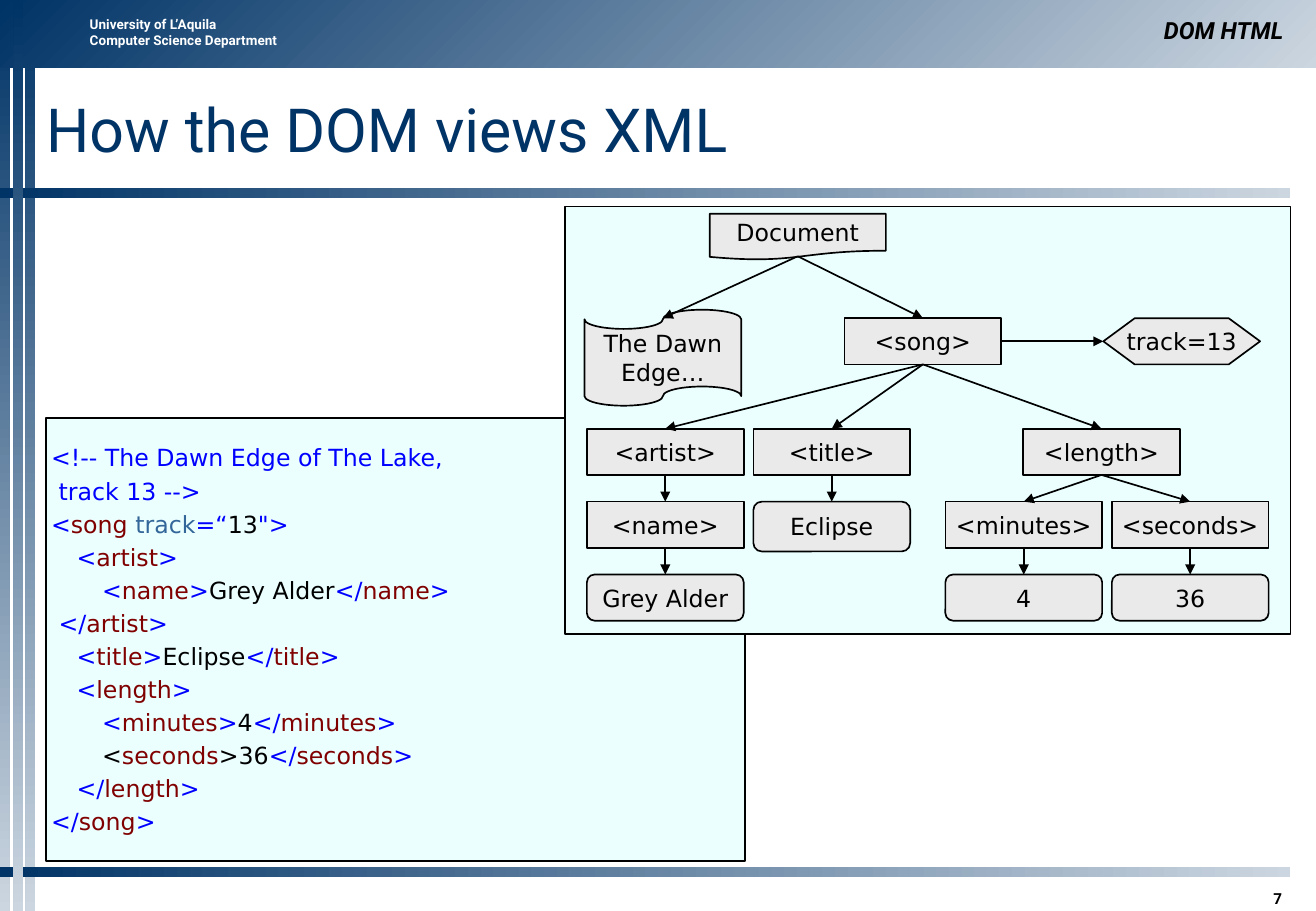
import pptx
import pptx.util
from pptx.dml.color import RGBColor
from pptx.enum.shapes import MSO_CONNECTOR, MSO_SHAPE
from pptx.enum.text import MSO_ANCHOR, PP_ALIGN
from pptx.oxml.ns import qn
from lxml import etree

Inches, Pt = pptx.util.Inches, pptx.util.Pt

COLORS = {
    "navy": "003366", "mist": "CCD6E0", "white": "FFFFFF", "black": "000000",
    "panel": "EBFFFF", "node": "EAEAEA",
    "mark": "0000FF", "tag": "800000", "attribute": "336699",
}

deck = pptx.Presentation()
deck.slide_width, deck.slide_height = Inches(10.83), Inches(7.5)
slide = deck.slides.add_slide(deck.slide_layouts[6])


def add_box(kind, left, top, width, height, fill=None):
    """Add a shape, outlined in black if filled, or a text box if kind is None."""
    place = [Inches(v) for v in (left, top, width, height)]
    if kind is None:
        return slide.shapes.add_textbox(*place)
    box = slide.shapes.add_shape(kind, *place)
    box.shadow.inherit = False
    if fill:
        box.fill.solid()
        box.fill.fore_color.rgb = RGBColor.from_string(COLORS[fill])
        box.line.color.rgb = RGBColor.from_string(COLORS["black"])
        box.line.width = Pt(1)
    else:
        box.line.fill.background()
    return box


def add_run(paragraph, text, size, font, color, bold=False, italic=False):
    run = paragraph.add_run()
    run.text = text
    run.font.size, run.font.name = Pt(size), font
    run.font.bold, run.font.italic = bold, italic
    run.font.color.rgb = RGBColor.from_string(COLORS[color])


# Gradient bands: left, top, width, height, counter-clockwise angle
bands = [
    (0, 0, 0.08, 7.5, 270),
    (0.21, 0, 0.08, 7.5, 270),
    (0, 0, 10.83, 0.56, 315),
    (0, 1.55, 10.62, 0.08, 0),
    (0, 7.14, 10.62, 0.08, 0),
    (0.11, 0, 0.08, 7.5, 270),
]
for *place, angle in bands:
    band = add_box(MSO_SHAPE.RECTANGLE, *place)
    band.fill.gradient()
    band.fill.gradient_angle = angle
    for stop, color in zip(band.fill.gradient_stops, ("navy", "mist")):
        stop.color.rgb = RGBColor.from_string(COLORS[color])

# Header, page number and title
department = add_box(None, 0.64, 0.08, 2.01, 0.37).text_frame
department.word_wrap = True
affiliation = department.paragraphs[0]
add_run(affiliation, "University of L’Aquila", 8, "Roboto", "white", bold=True)
affiliation.add_line_break()
add_run(affiliation, "Computer Science Department", 8, "Roboto", "white", bold=True)

page_number = add_box(None, 9.47, 7.22, 1.18, 0.25).text_frame
page_number.margin_bottom = 0
page_number.word_wrap = False
page_number.vertical_anchor = MSO_ANCHOR.BOTTOM
page_number.paragraphs[0].alignment = PP_ALIGN.RIGHT
add_run(page_number.paragraphs[0], "7", 9, "Roboto", "black", bold=True)

topic = add_box(None, 5.42, 0.08, 5.24, 0.33).text_frame
topic.word_wrap = True
topic.vertical_anchor = MSO_ANCHOR.BOTTOM
topic.paragraphs[0].alignment = PP_ALIGN.RIGHT
add_run(topic.paragraphs[0], "DOM HTML", 14, "Roboto", "black", bold=True, italic=True)

title = add_box(None, 0.38, 0.58, 10.27, 0.96).text_frame
title.margin_left = title.margin_right = title.margin_top = title.margin_bottom = 0
title.word_wrap = True
title.vertical_anchor = MSO_ANCHOR.MIDDLE
add_run(title.paragraphs[0], "How the DOM views XML", 36, "Roboto", "navy")

# XML listing: one list of (colour, text) runs per line
xml_lines = [
    [("mark", "<!-- The Dawn Edge of The Lake,")],
    [("mark", " track 13 -->")],
    [("mark", "<"), ("tag", "song "), ("attribute", "track"), ("mark", "=“"),
     ("black", "13"), ("mark", "\">")],
    [("mark", "\t<"), ("tag", "artist"), ("mark", ">")],
    [("mark", "\t\t<"), ("tag", "name"), ("mark", ">"), ("black", "Grey Alder"),
     ("mark", "</"), ("tag", "name"), ("mark", ">")],
    [("mark", " </"), ("tag", "artist"), ("mark", ">")],
    [("mark", "\t<"), ("tag", "title"), ("mark", ">"), ("black", "Eclipse"),
     ("mark", "</"), ("tag", "title"), ("mark", ">")],
    [("mark", "\t<"), ("tag", "length"), ("mark", ">")],
    [("mark", "\t\t<"), ("tag", "minutes"), ("mark", ">"), ("black", "4"),
     ("mark", "</"), ("tag", "minutes"), ("mark", ">")],
    [("black", "\t\t<"), ("tag", "seconds"), ("black", ">36"),
     ("mark", "</"), ("tag", "seconds"), ("mark", ">")],
    [("mark", "\t</"), ("tag", "length"), ("mark", ">")],
    [("mark", "</"), ("tag", "song"), ("mark", ">")],
]
listing = add_box(MSO_SHAPE.RECTANGLE, 0.38, 3.44, 5.75, 3.65, "panel").text_frame
listing.margin_left = listing.margin_right = Inches(0.04)
listing.margin_top = listing.margin_bottom = Inches(0.04)
listing.word_wrap = True
listing.vertical_anchor = MSO_ANCHOR.MIDDLE
for number, line in enumerate(xml_lines):
    code = listing.add_paragraph() if number else listing.paragraphs[0]
    code.alignment = PP_ALIGN.LEFT
    code.space_before = Pt(2.8 if number else 0)
    tab_list = etree.SubElement(code._p.get_or_add_pPr(), qn("a:tabLst"))
    for step in range(1, 7):
        etree.SubElement(tab_list, qn("a:tab"), pos=str(Inches(step * 0.21)), algn="l")
    for color, text in line:
        add_run(code, text, 14, "DejaVu Sans", color)

# DOM tree
add_box(MSO_SHAPE.RECTANGLE, 4.65, 1.7, 5.97, 3.52, "panel")

ELEMENT = MSO_SHAPE.FLOWCHART_PROCESS
VALUE = MSO_SHAPE.FLOWCHART_ALTERNATE_PROCESS
WIDTH, HEIGHT = 1.29, 0.38
ROWS = [2.62, 3.53, 4.13, 4.73]
COMMENT = "The Dawn Edge…"
# label: kind, left, top, width, height
nodes = {
    "Document": (MSO_SHAPE.FLOWCHART_DOCUMENT, 5.84, 1.76, 1.45, HEIGHT),
    COMMENT: (MSO_SHAPE.FLOWCHART_PUNCHED_TAPE, 4.81, 2.55, WIDTH, 0.79),
    "<song>": (ELEMENT, 6.95, ROWS[0], WIDTH, HEIGHT),
    "track=13": (MSO_SHAPE.FLOWCHART_PREPARATION, 9.08, ROWS[0], WIDTH, HEIGHT),
    "<artist>": (ELEMENT, 4.83, ROWS[1], WIDTH, HEIGHT),
    "<title>": (ELEMENT, 6.2, ROWS[1], WIDTH, HEIGHT),
    "<length>": (ELEMENT, 8.42, ROWS[1], WIDTH, HEIGHT),
    "<name>": (ELEMENT, 4.83, ROWS[2], WIDTH, HEIGHT),
    "Eclipse": (VALUE, 6.2, ROWS[2], WIDTH, 0.41),
    "<minutes>": (ELEMENT, 7.78, ROWS[2], WIDTH, HEIGHT),
    "<seconds>": (ELEMENT, 9.15, ROWS[2], WIDTH, HEIGHT),
    "Grey Alder": (VALUE, 4.83, ROWS[3], WIDTH, HEIGHT),
    "4": (VALUE, 7.78, ROWS[3], WIDTH, HEIGHT),
    "36": (VALUE, 9.15, ROWS[3], WIDTH, HEIGHT),
}
for label, place in nodes.items():
    node = add_box(*place, "node").text_frame
    node.word_wrap = label == COMMENT
    node.vertical_anchor = MSO_ANCHOR.MIDDLE
    node.paragraphs[0].alignment = PP_ALIGN.CENTER
    add_run(node.paragraphs[0], label, 14, "DejaVu Sans", "black")

children = {
    "Document": [COMMENT, "<song>"],
    "<song>": ["<artist>", "<title>", "<length>", "track=13"],
    "<artist>": ["<name>"],
    "<title>": ["Eclipse"],
    "<length>": ["<minutes>", "<seconds>"],
    "<name>": ["Grey Alder"],
    "<minutes>": ["4"],
    "<seconds>": ["36"],
}
# Wavy edges lie inside the bounding box
wave_bottom = {"Document": 0.03}
wave_top = {COMMENT: 0.07}
for parent, branch in children.items():
    _, left, top, width, height = nodes[parent]
    for child in branch:
        _, child_left, child_top, child_width, child_height = nodes[child]
        if child_top == top:
            ends = (left + width, top + height / 2,
                    child_left, child_top + child_height / 2)
        else:
            ends = (left + width / 2, top + height - wave_bottom.get(parent, 0),
                    child_left + child_width / 2, child_top + wave_top.get(child, 0))
        arrow = slide.shapes.add_connector(MSO_CONNECTOR.STRAIGHT, *map(Inches, ends))
        arrow.line.color.rgb = RGBColor.from_string(COLORS["black"])
        arrow.line.width = Pt(1)
        etree.SubElement(arrow.line._get_or_add_ln(), qn("a:tailEnd"), type="triangle")
        etree.SubElement(arrow._element.spPr, qn("a:effectLst"))

deck.save("out.pptx")
